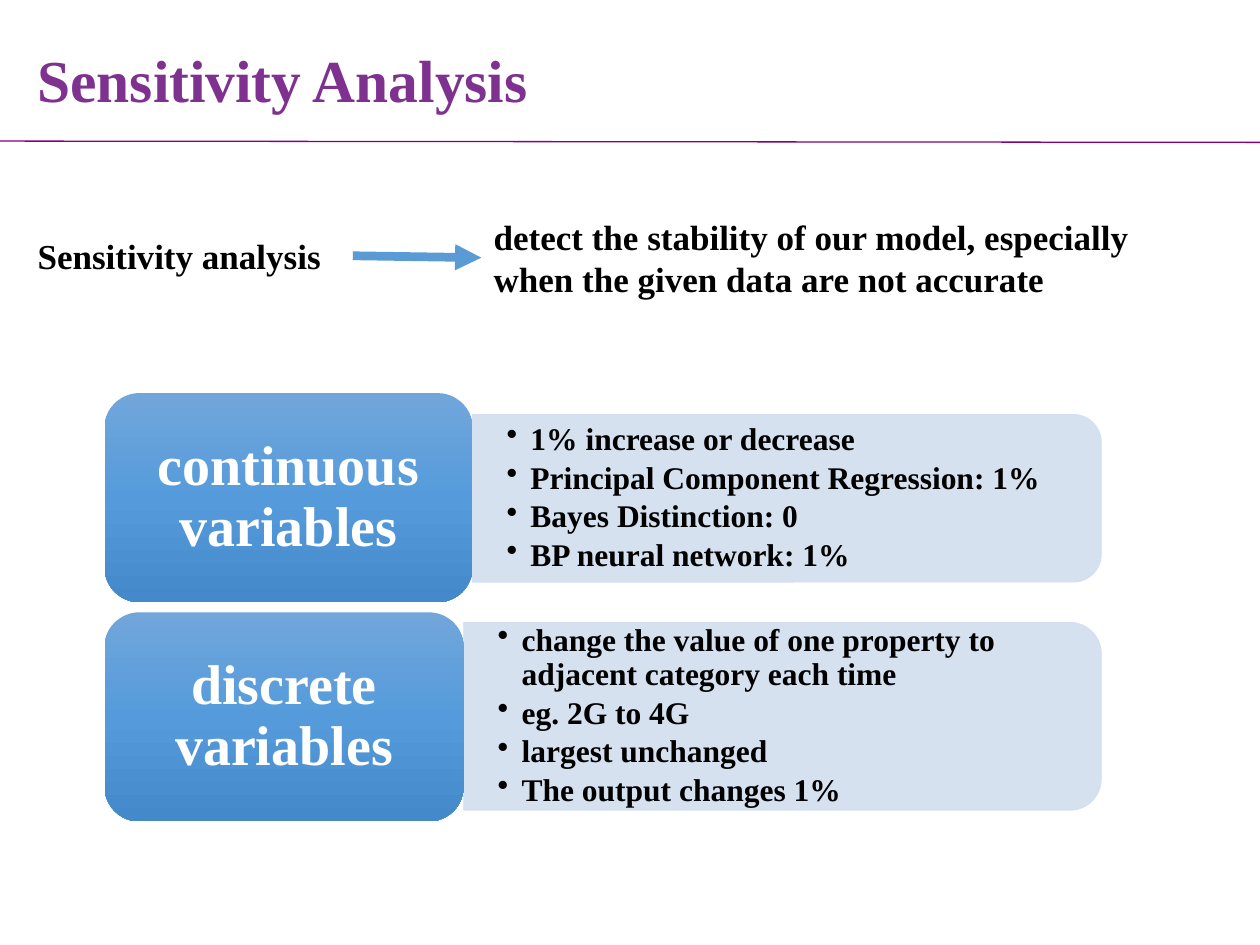
from copy import deepcopy
from pptx import Presentation
from pptx.dml.color import RGBColor
from pptx.enum.shapes import MSO_CONNECTOR, MSO_SHAPE
from pptx.enum.text import MSO_ANCHOR, MSO_AUTO_SIZE, PP_ALIGN
from pptx.oxml.ns import qn
from pptx.util import Inches, Pt
from lxml.etree import SubElement

COLORS = {"title": "7E318E", "rule": "800080", "arrow": "5B9BD5",
          "panel": "D2DEEF", "text": "000000", "label": "FFFFFF"}
GRADIENT = ["71A6DB", "559BDB", "448ACA"]
BULLET_INDENT = Inches(0.19)


def add_text(box, lines, size, color, margins=(0.1, 0.05), bullets=False, **formats):
    left, top, width, height = (Inches(value) for value in box)
    shape = slide.shapes.add_textbox(left, top, width, height)
    frame = shape.text_frame
    frame.word_wrap = True
    frame.margin_left = frame.margin_right = Inches(margins[0])
    frame.margin_top = frame.margin_bottom = Inches(margins[1])
    for index, line in enumerate(lines):
        paragraph = frame.paragraphs[0] if index == 0 else frame.add_paragraph()
        paragraph.text = line
        for name, value in formats.items():
            setattr(paragraph, name, value)
        if bullets:
            properties = paragraph._p.get_or_add_pPr()
            properties.set("marL", str(BULLET_INDENT))
            properties.set("indent", str(-BULLET_INDENT))
            SubElement(properties, qn("a:buChar")).set("char", "•")
        font = paragraph.runs[0].font
        for name, value in {"name": "Times New Roman", "size": Pt(size), "bold": True}.items():
            setattr(font, name, value)
        font.color.rgb = RGBColor.from_string(COLORS[color])
    return shape


def add_line(start, end, color, width):
    connector = slide.shapes.add_connector(
        MSO_CONNECTOR.STRAIGHT, *(Inches(value) for value in (*start, *end)))
    connector.line.color.rgb = RGBColor.from_string(COLORS[color])
    connector.line.width = Pt(width)
    SubElement(connector._element.spPr, qn("a:effectLst"))
    return connector


presentation = Presentation()
presentation.slide_width, presentation.slide_height = Inches(10), Inches(7.5)
slide = presentation.slides.add_slide(presentation.slide_layouts[6])

# Title and rule
add_line((0, 1.12), (10, 1.13), "rule", 0.75)
title = add_text((0.2, 0.12, 4.14, 0.77), ["Sensitivity Analysis"], 34, "title", line_spacing=1.3)
title.text_frame.word_wrap = False

# Definition with arrow
meaning = add_text((3.82, 1.66, 5.67, 0.77),
                   ["detect the stability of our model, especially when the given data are not accurate"],
                   20, "text")
term = add_text((0.2, 1.81, 2.6, 0.44), ["Sensitivity analysis"], 20, "text")
for box in (title, meaning, term):
    box.text_frame.auto_size = MSO_AUTO_SIZE.SHAPE_TO_FIT_TEXT
arrow = add_line((2.8, 2.03), (3.82, 2.05), "arrow", 5)
arrow.begin_connect(term, 3)
arrow.end_connect(meaning, 1)
SubElement(arrow.line._get_or_add_ln(), qn("a:tailEnd")).set("type", "triangle")

# Variable rows: label, top, label width, panel top, panel right, panel height, text height, bullets
rows = [
    ("continuous variables", 3.12, 2.92, 3.29, 8.74, 1.33, 1.2,
     ["1% increase or decrease", "Principal Component Regression: 1%",
      "Bayes Distinction: 0", "BP neural network: 1%"]),
    ("discrete variables", 4.86, 2.85, 4.94, 8.74, 1.49, 1.34,
     ["change the value of one property to adjacent category each time",
      "eg. 2G to 4G", "largest unchanged", "The output changes 1%"]),
]
label_left, label_height, inset = 0.83, 1.66, 0.08
for label, top, label_width, panel_top, panel_right, panel_height, text_height, lines in rows:
    panel_left = label_left + label_width
    panel_width = panel_right - panel_left
    middle = panel_top + panel_height / 2

    # Panel, turned so that its rounded side faces right
    panel = slide.shapes.add_shape(
        MSO_SHAPE.ROUND_2_SAME_RECTANGLE,
        Inches((panel_left + panel_right - panel_height) / 2), Inches(middle - panel_width / 2),
        Inches(panel_height), Inches(panel_width))
    panel.rotation = 90
    panel.shadow.inherit = False
    panel.fill.solid()
    panel.line.width = Pt(0.5)
    for color in (panel.fill.fore_color, panel.line.color):
        color.rgb = RGBColor.from_string(COLORS["panel"])
    for element in panel._element.spPr.iter(qn("a:srgbClr")):
        SubElement(element, qn("a:alpha")).set("val", "90000")
    bullet_box = add_text((panel_left, middle - text_height / 2, panel_width - 0.07, text_height),
                          lines, 18, "text", (0.27, 0.14), bullets=True,
                          line_spacing=0.9, space_after=Pt(2.7))

    # Label block with a vertical gradient
    block = slide.shapes.add_shape(MSO_SHAPE.ROUNDED_RECTANGLE, Inches(label_left), Inches(top),
                                   Inches(label_width), Inches(label_height))
    block.shadow.inherit = False
    block.line.fill.background()
    block.fill.gradient()
    block.fill.gradient_angle = 270
    stop_list = next(block._element.spPr.iter(qn("a:gsLst")))
    stop_list.append(deepcopy(stop_list[-1]))
    for index, stop in enumerate(block.fill.gradient_stops):
        stop.position = index / 2
        stop.color.rgb = RGBColor.from_string(GRADIENT[index])
    label_box = add_text((label_left + inset, top + inset,
                          label_width - 2 * inset, label_height - 2 * inset),
                         [label], 32, "label", (0.13, 0.07),
                         alignment=PP_ALIGN.CENTER, line_spacing=0.9)
    for box in (bullet_box, label_box):
        box.text_frame.vertical_anchor = MSO_ANCHOR.MIDDLE

presentation.save("out.pptx")
